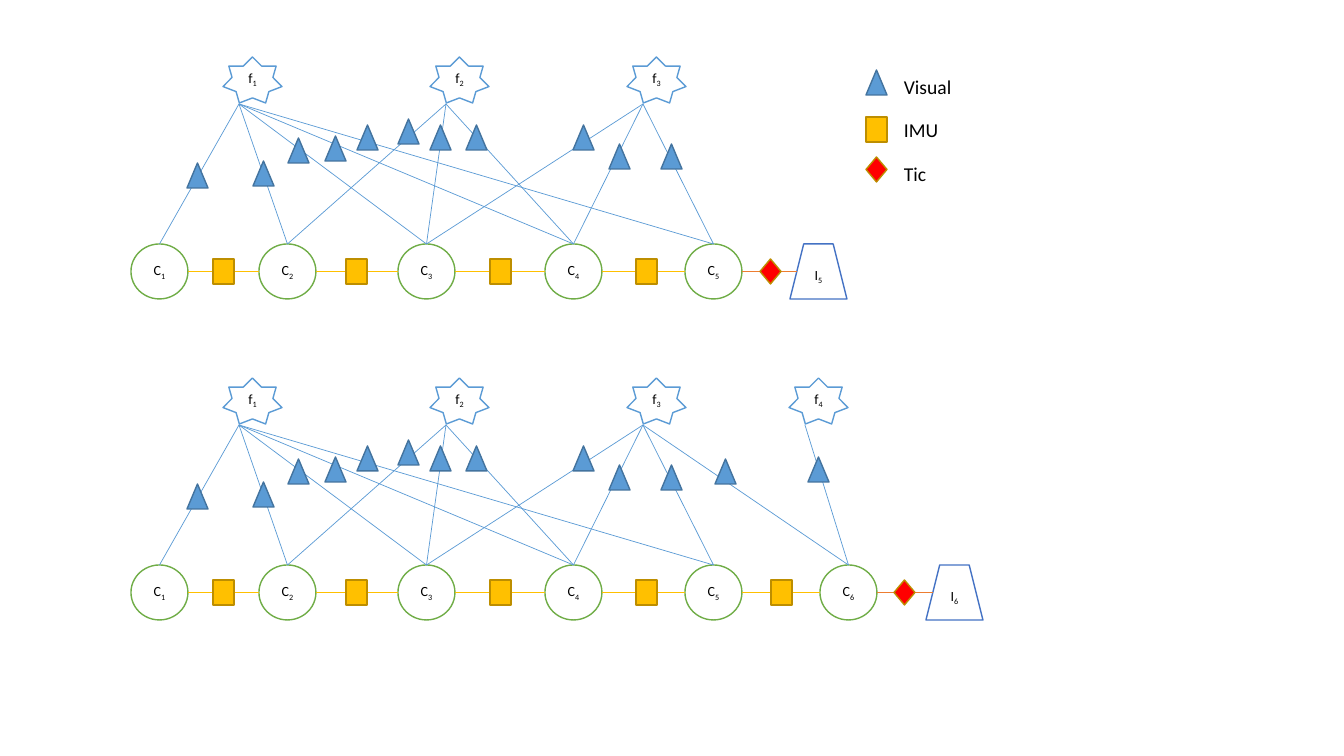
"""Builds a slide with two factor graphs and a legend of their factor types."""
from lxml import etree
from pptx import Presentation, util as u
from pptx.dml.color import RGBColor
from pptx.enum import shapes, text
from pptx.oxml.ns import qn

SCALE = 914400 / 100.8
WHITE = RGBColor(0xFF, 0xFF, 0xFF)
BLACK = RGBColor(0, 0, 0)
BLUE = RGBColor(0x5B, 0x9B, 0xD5)
DARK_BLUE = RGBColor(0x43, 0x73, 0x9E)
INDIGO = RGBColor(0x44, 0x72, 0xC4)
GREEN = RGBColor(0x70, 0xAD, 0x47)
GOLD = RGBColor(0xFF, 0xC0, 0x00)
DARK_GOLD = RGBColor(0xBD, 0x8E, 0x00)
RED = RGBColor(0xFF, 0x00, 0x00)
ORANGE = RGBColor(0xED, 0x7D, 0x31)

KIND = shapes.MSO_SHAPE
VISUAL = (KIND.ISOSCELES_TRIANGLE, BLUE, DARK_BLUE)
IMU = (KIND.RECTANGLE, GOLD, DARK_GOLD)
TIC = (KIND.FLOWCHART_DECISION, RED, DARK_GOLD)
FEATURE = (KIND.STAR_7_POINT, WHITE, BLUE)
CAMERA = (KIND.OVAL, WHITE, GREEN)
EXTRINSIC = (KIND.TRAPEZOID, WHITE, INDIGO)

FACTOR_SIZE = (21, 25)
FEATURE_SIZE = (59, 46)
STATE_SIZE = (57, 55)
CAMERA_LEFTS = (131, 259, 398, 545, 685, 820)
FEATURE_LEFTS = (223, 430, 627, 789)
IMU_LEFTS = (213, 346, 490, 636, 771)
STATE_TOP, CHAIN_Y, FEATURE_FOOT = 187, 214, 47

# feature -> (camera, left and top of the visual factor)
SIGHTINGS = {
    1: [(1, 187, 106), (2, 253, 104), (3, 288, 81), (4, 325, 79), (5, 357, 68)],
    2: [(2, 398, 62), (3, 430, 68), (4, 466, 68)],
    3: [(3, 573, 68), (4, 609, 87), (5, 661, 87)],
}
LATER_SIGHTINGS = {
    **SIGHTINGS,
    3: SIGHTINGS[3] + [(6, 715, 81)],
    4: [(6, 808, 79)],
}


def px(length):
    """Turn pixels into EMU."""
    return u.Emu(round(length * SCALE))


def add_run(paragraph, words, size, subscript=False):
    """Append one black run, lowered if it is a subscript."""
    run = paragraph.add_run()
    run.text = words
    run.font.size = u.Pt(size)
    run.font.name = "Calibri"
    run.font.color.rgb = BLACK
    if subscript:
        run.font._element.set("baseline", "-25000")


def add_figure(slide, style, left, top, size):
    """Draw a preset shape in its fill and outline colours."""
    kind, fill, outline = style
    figure = slide.shapes.add_shape(kind, px(left), px(top), *map(px, size))
    figure.shadow.inherit = False
    figure.fill.solid()
    figure.fill.fore_color.rgb = fill
    figure.line.color.rgb = outline
    figure.line.width = u.Pt(1)
    return figure


def add_node(slide, style, left, top, size, letter, index):
    """Draw a node labelled with a letter and a subscript."""
    frame = add_figure(slide, style, left, top, size).text_frame
    frame.margin_left = frame.margin_right = 0
    frame.margin_top = frame.margin_bottom = 0
    frame.vertical_anchor = text.MSO_ANCHOR.MIDDLE
    label = frame.paragraphs[0]
    label.alignment = text.PP_ALIGN.CENTER
    add_run(label, letter, 10)
    add_run(label, str(index), 10, subscript=True)


def add_edge(slide, start, end, color):
    """Draw a thin straight edge between two points."""
    edge = slide.shapes.add_connector(
        shapes.MSO_CONNECTOR.STRAIGHT, *map(px, start), *map(px, end))
    edge.line.color.rgb = color
    edge.line.width = u.Pt(0.5)
    etree.SubElement(edge._element.spPr, qn("a:effectLst"))


def add_chain(slide, top, cameras, tic_left, extrinsic_left):
    """Draw the row of cameras with its IMU and Tic factors."""
    chain_y = top + CHAIN_Y
    factor_top = chain_y - 12
    lefts = CAMERA_LEFTS[:cameras]
    for index, left in enumerate(lefts, 1):
        add_node(slide, CAMERA, left, top + STATE_TOP, STATE_SIZE, "C", index)
    for left, following, imu_left in zip(lefts, lefts[1:], IMU_LEFTS):
        add_edge(slide, (left + STATE_SIZE[0], chain_y), (following, chain_y), GOLD)
        add_figure(slide, IMU, imu_left, factor_top, FACTOR_SIZE)
    add_node(slide, EXTRINSIC, extrinsic_left, top + STATE_TOP, STATE_SIZE, "I", cameras)
    add_edge(slide, (lefts[-1] + STATE_SIZE[0], chain_y), (extrinsic_left + 7, chain_y), ORANGE)
    add_figure(slide, TIC, tic_left, factor_top, FACTOR_SIZE)


def add_features(slide, top, sightings):
    """Draw the features, their edges to cameras and the visual factors."""
    for feature, seen in sightings.items():
        left = FEATURE_LEFTS[feature - 1]
        add_node(slide, FEATURE, left, top, FEATURE_SIZE, "f", feature)
        for camera, *_ in seen:
            camera_x = CAMERA_LEFTS[camera - 1] + STATE_SIZE[0] / 2
            add_edge(slide, (camera_x, top + STATE_TOP), (left + 16, top + FEATURE_FOOT), BLUE)
        for _, factor_left, factor_top in seen:
            add_figure(slide, VISUAL, factor_left, top + factor_top, FACTOR_SIZE)


def add_legend_entry(slide, style, factor_top, name, name_top):
    """Draw one factor sample with its name beside it."""
    add_figure(slide, style, 866, factor_top, FACTOR_SIZE)
    frame = slide.shapes.add_textbox(px(894), px(name_top), px(92), px(34)).text_frame
    frame.word_wrap = True
    frame.auto_size = text.MSO_AUTO_SIZE.SHAPE_TO_FIT_TEXT
    add_run(frame.paragraphs[0], name, 14)


def main():
    """Build the slide and save it."""
    deck = Presentation()
    deck.slide_width, deck.slide_height = px(1344), px(756)
    slide = deck.slides.add_slide(deck.slide_layouts[6])
    for top, cameras, tic_left, extrinsic_left, sightings in (
            (57, 5, 760, 790, SIGHTINGS),
            (378, 6, 894, 926, LATER_SIGHTINGS)):
        add_chain(slide, top, cameras, tic_left, extrinsic_left)
        add_features(slide, top, sightings)
    for style, factor_top, name, name_top in (
            (VISUAL, 70, "Visual", 70),
            (IMU, 117, "IMU", 113),
            (TIC, 157, "Tic", 157)):
        add_legend_entry(slide, style, factor_top, name, name_top)
    deck.save("out.pptx")


main()
